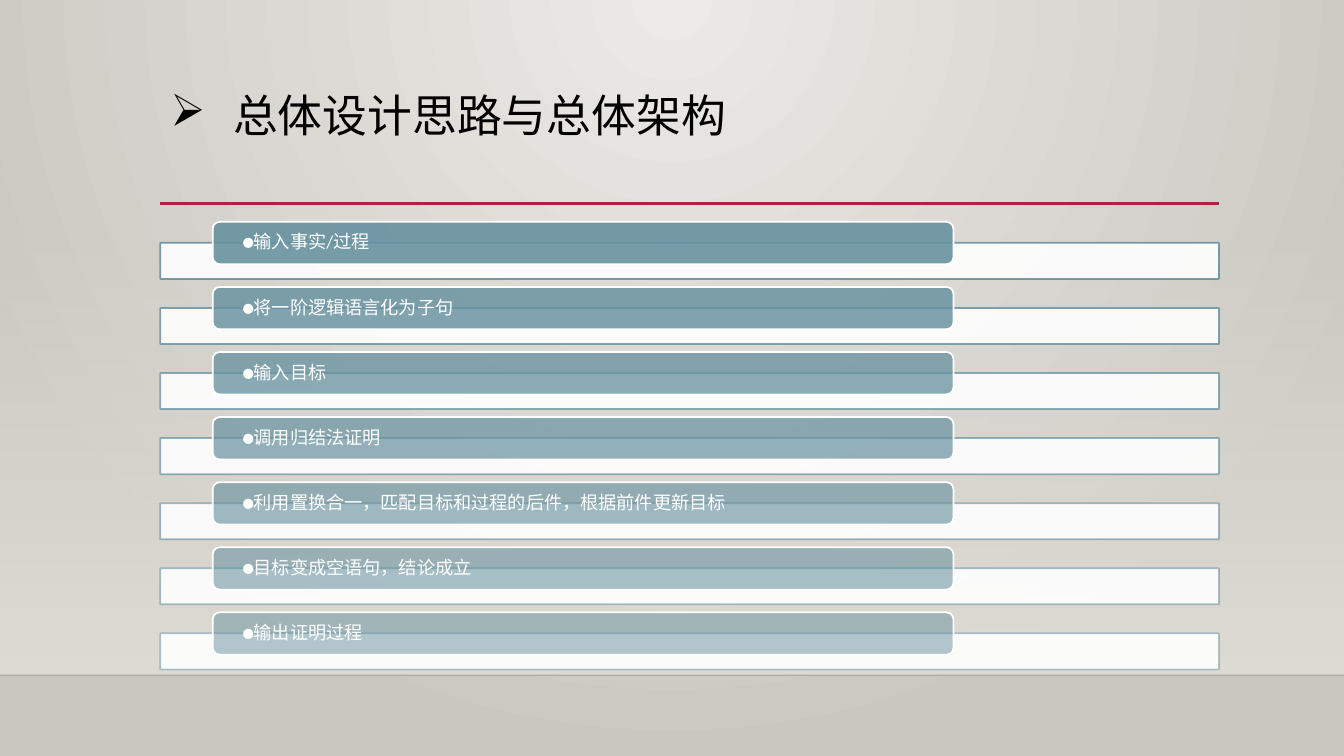
from dataclasses import dataclass

from lxml.etree import SubElement
from pptx import Presentation
from pptx.dml.color import RGBColor
from pptx.enum.shapes import MSO_CONNECTOR as Connector, MSO_SHAPE as Preset
from pptx.enum.text import MSO_ANCHOR as Anchor, MSO_AUTO_SIZE as AutoSize, PP_ALIGN as Align
from pptx.oxml.ns import qn
from pptx.shapes.autoshape import Shape
from pptx.slide import Slide
from pptx.text.text import _Paragraph as Paragraph
from pptx.util import Cm, Pt

WIDTH, HEIGHT = 33.87, 19.05
LEFT, CONTENT_WIDTH = 4.04, 26.68
FLOOR = 17.02
STEP_PITCH = 1.64
STEEL, WHITE, BLACK = "6892A0", "FFFFFF", "000000"
STEPS = [
    "输入事实/过程",
    "将一阶逻辑语言化为子句",
    "输入目标",
    "调用归结法证明",
    "利用置换合一，匹配目标和过程的后件，根据前件更新目标",
    "目标变成空语句，结论成立",
    "输出证明过程",
]


@dataclass
class Box:
    left: float
    top: float
    width: float
    height: float


@dataclass
class Rule:
    left: float
    right: float
    top: float
    color: str
    weight: float
    opacity: float = 100


RULES = [
    Rule(0, WIDTH, FLOOR, "000001", 1, 20),
    Rule(LEFT, LEFT + CONTENT_WIDTH, 5.13, "B71E42", 2.5),
]


def rgb(color: str) -> RGBColor:
    return RGBColor.from_string(color)


def set_opacity(element, target: str, percent: float) -> None:
    """Make the first colour found at the target XPath partly transparent."""
    color = element.xpath(f"{target}//a:srgbClr")[0]
    SubElement(color, qn("a:alpha"), val=str(round(percent * 1000)))


def set_gradient(fill, start: str, end: str) -> None:
    fill.gradient()
    for stop, color, position in zip(fill.gradient_stops, (start, end), (0, 1)):
        stop.color.rgb = rgb(color)
        stop.position = position


def style_text(paragraph: Paragraph, size: float, color: str) -> None:
    paragraph.alignment = Align.LEFT
    paragraph.line_spacing = 0.9
    paragraph.font.name = "Calibri"
    paragraph.font.size = Pt(size)
    paragraph.font.color.rgb = rgb(color)


def add_box(page: Slide, preset: Preset, box: Box) -> Shape:
    shape = page.shapes.add_shape(
        preset, Cm(box.left), Cm(box.top), Cm(box.width), Cm(box.height))
    shape.shadow.inherit = False
    return shape


def add_panel(page: Slide, preset: Preset, box: Box, fill: str, opacity: float,
              line: str, line_opacity: float) -> Shape:
    panel = add_box(page, preset, box)
    panel.fill.solid()
    panel.fill.fore_color.rgb = rgb(fill)
    panel.line.color.rgb = rgb(line)
    panel.line.width = Pt(1.25)
    set_opacity(panel.element, "./p:spPr/a:solidFill", opacity)
    set_opacity(panel.element, "./p:spPr/a:ln", line_opacity)
    return panel


def add_rule(page: Slide, rule: Rule) -> None:
    line = page.shapes.add_connector(
        Connector.STRAIGHT, Cm(rule.left), Cm(rule.top), Cm(rule.right), Cm(rule.top))
    line.line.color.rgb = rgb(rule.color)
    line.line.width = Pt(rule.weight)
    set_opacity(line.element, "./p:spPr/a:ln", rule.opacity)
    SubElement(line.element.spPr, qn("a:effectLst"))


def paint_backdrop(page: Slide) -> None:
    """Radial glow from the top centre, with a haze that fades in down to the floor."""
    set_gradient(page.background.fill, "ECEAE7", "CAC7C1")
    gradient = page.element.xpath(".//p:bg//a:gradFill")[0]
    gradient.remove(gradient.find(qn("a:lin")))
    glow = SubElement(gradient, qn("a:path"), path="circle")
    SubElement(glow, qn("a:fillToRect"), l="43000", t="0", r="43000", b="100000")

    haze = add_box(page, Preset.RECTANGLE, Box(0, 5.61, WIDTH, FLOOR - 5.61))
    set_gradient(haze.fill, "DFDBD5", "DFDBD5")
    haze.fill.gradient_angle = 270
    haze.line.fill.background()
    set_opacity(haze.element, "./p:spPr/a:gradFill", 0)


def set_title(page: Slide, text: str) -> None:
    title = page.shapes.title
    title.left, title.top = Cm(LEFT), Cm(2.24)
    title.width, title.height = Cm(CONTENT_WIDTH), Cm(2.92)
    frame = title.text_frame
    frame.text = text
    frame.auto_size = AutoSize.NONE
    frame.vertical_anchor = Anchor.TOP
    para = frame.paragraphs[0]
    properties = para._p.get_or_add_pPr()
    properties.set("marL", str(Cm(1.58)))
    properties.set("indent", str(Cm(-1.58)))
    SubElement(properties, qn("a:buChar"), char="➢")
    style_text(para, 32, BLACK)


def add_step(page: Slide, index: int, text: str) -> None:
    offset = index * STEP_PITCH
    opacity = 90 - 40 * index / (len(STEPS) - 1)
    add_panel(page, Preset.RECTANGLE, Box(LEFT, 6.12 + offset, CONTENT_WIDTH, 0.91),
              WHITE, 90, STEEL, opacity)
    label = add_panel(page, Preset.ROUNDED_RECTANGLE, Box(5.36, 5.59 + offset, 18.67, 1.07),
                      STEEL, opacity, WHITE, 100)
    frame = label.text_frame
    frame.word_wrap = True
    frame.vertical_anchor = Anchor.MIDDLE
    frame.margin_left = frame.margin_right = Cm(0.71)
    frame.margin_top = frame.margin_bottom = 0
    frame.text = f"⚫{text}"
    style_text(frame.paragraphs[0], 13, WHITE)


def main() -> None:
    deck = Presentation()
    deck.slide_width, deck.slide_height = Cm(WIDTH), Cm(HEIGHT)
    page = deck.slides.add_slide(deck.slide_layouts[5])
    paint_backdrop(page)
    for rule in RULES:
        add_rule(page, rule)
    set_title(page, "总体设计思路与总体架构")
    for index, text in enumerate(STEPS):
        add_step(page, index, text)
    deck.save("out.pptx")


if __name__ == "__main__":
    main()
